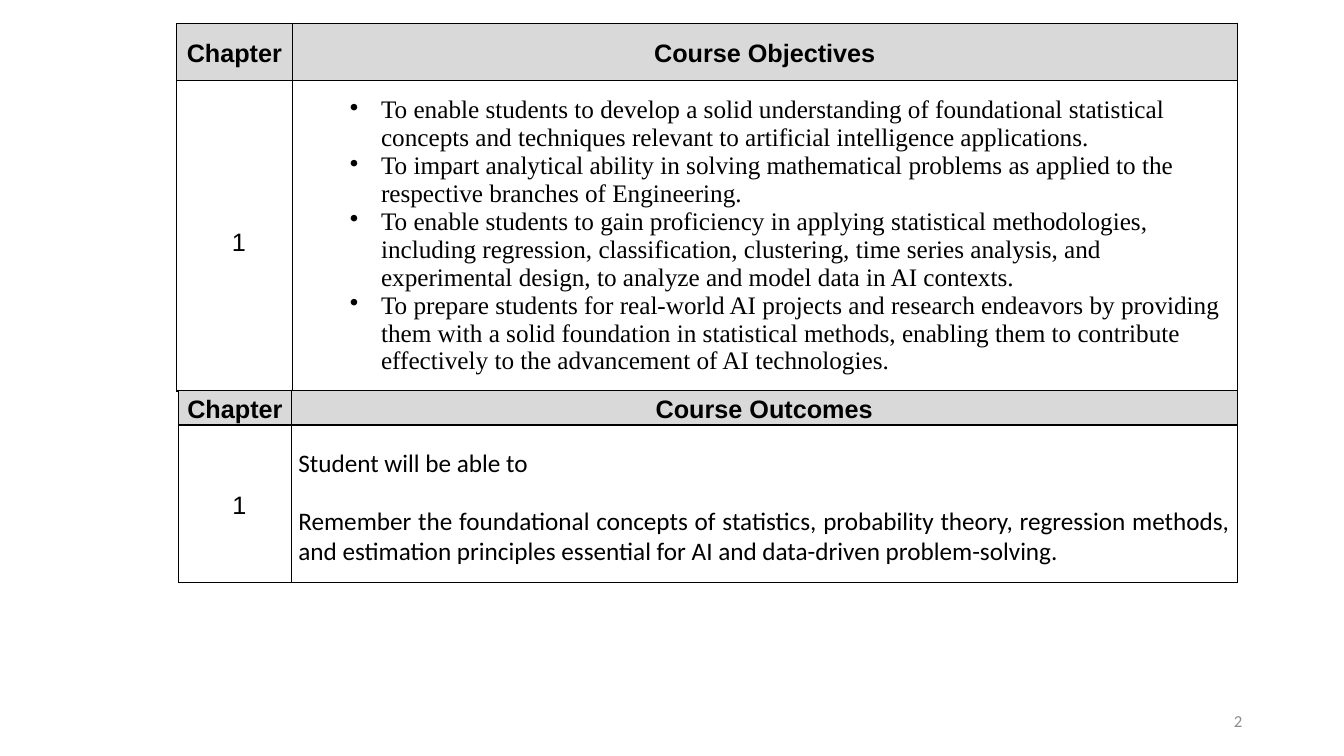
import pptx
import pptx.dml.color
import pptx.enum.text
import pptx.oxml
import pptx.oxml.ns
import pptx.util
from pptx.util import Inches

BLACK = pptx.dml.color.RGBColor(0x00, 0x00, 0x00)
HEADER_GRAY = pptx.dml.color.RGBColor(0xD9, 0xD9, 0xD9)
NUMBER_GRAY = pptx.dml.color.RGBColor(0x8C, 0x8C, 0x8C)
ALIGN = pptx.enum.text.PP_ALIGN
MIDDLE = pptx.enum.text.MSO_ANCHOR.MIDDLE
TOP = pptx.enum.text.MSO_ANCHOR.TOP

OBJECTIVES = [
    "To enable students to develop a solid understanding of foundational statistical concepts and techniques relevant to artificial intelligence applications.",
    "To impart analytical ability in solving mathematical problems as applied to the respective branches of Engineering.",
    "To enable students to gain proficiency in applying statistical methodologies, including regression, classification, clustering, time series analysis, and experimental design, to analyze and model data in AI contexts.",
    "To prepare students for real-world AI projects and research endeavors by providing them with a solid foundation in statistical methods, enabling them to contribute effectively to the advancement of AI technologies.",
]
OUTCOMES = [
    "Student will be able to",
    "Remember the foundational concepts of statistics, probability theory, regression methods, and estimation principles essential for AI and data-driven problem-solving.",
]


def set_font(paragraph, name, size=18, color=BLACK, bold=False):
    font = paragraph.font if not paragraph.runs else paragraph.runs[0].font
    font.name = name
    font.size = pptx.util.Pt(size)
    font.color.rgb = color
    font.bold = bold


def set_indent(paragraph, left, first):
    properties = paragraph._p.get_or_add_pPr()
    properties.set("marL", str(Inches(left)))
    properties.set("indent", str(Inches(first)))


def add_bullet(paragraph):
    bullet = pptx.oxml.parse_xml(
        f'<a:buChar {pptx.oxml.ns.nsdecls("a")} char="•"/>')
    paragraph._p.get_or_add_pPr().append(bullet)


def add_borders(cell):
    properties = cell._tc.get_or_add_tcPr()
    for side in ("lnL", "lnR", "lnT", "lnB"):
        properties.append(pptx.oxml.parse_xml(
            f'<a:{side} {pptx.oxml.ns.nsdecls("a")} w="12700">'
            f'<a:solidFill><a:srgbClr val="{BLACK}"/></a:solidFill></a:{side}>'))


def fill_cell(cell, texts, font, align, bold=False, line_spacing=None, after=None):
    """Write one paragraph per text and return the paragraphs."""
    frame = cell.text_frame
    frame.text = "\n".join(texts)
    for paragraph in frame.paragraphs:
        paragraph.alignment = align
        if line_spacing:
            paragraph.line_spacing = line_spacing
        if after:
            paragraph.space_after = pptx.util.Pt(after)
        set_font(paragraph, font, bold=bold)
    return frame.paragraphs


def add_chapter_table(slide, left, top, columns, rows, title, number_spacing, number_after):
    """Add a bordered table with its header and chapter number; return the body cell."""
    table = slide.shapes.add_table(
        2, 2, Inches(left), Inches(top), Inches(sum(columns)), Inches(sum(rows))).table
    table.first_row = False
    table.horz_banding = False
    for column, width in zip(table.columns, columns):
        column.width = Inches(width)
    for row, height in zip(table.rows, rows):
        row.height = Inches(height)
    for cell in table.iter_cells():
        cell.margin_left = cell.margin_right = Inches(0.07)
        cell.margin_top = cell.margin_bottom = 0
        cell.vertical_anchor = MIDDLE
        add_borders(cell)
        cell.fill.background()
    for index, heading in enumerate(("Chapter", title)):
        cell = table.cell(0, index)
        cell.fill.solid()
        cell.fill.fore_color.rgb = HEADER_GRAY
        fill_cell(cell, [heading], "Arial", ALIGN.CENTER, True, 1.15, 10)
    number = fill_cell(table.cell(1, 0), ["1"], "Arial", ALIGN.CENTER,
                       line_spacing=number_spacing, after=number_after)[0]
    set_indent(number, 0.37, -0.28)
    return table.cell(1, 1)


def add_objectives(slide, left, top):
    body = add_chapter_table(slide, left, top, (1.15, 9.37), (0.57, 3.08),
                             "Course Objectives", 1.5, None)
    for paragraph in fill_cell(body, OBJECTIVES, "Times New Roman", ALIGN.LEFT):
        set_indent(paragraph, 0.81, -0.31)
        add_bullet(paragraph)


def add_outcomes(slide, left, top):
    body = add_chapter_table(slide, left, top, (1.12, 9.38), (0.33, 1.56),
                             "Course Outcomes", 1.15, 10)
    body.vertical_anchor = TOP
    body.margin_top = Inches(0.23)
    paragraphs = fill_cell(body, OUTCOMES, "Calibri", ALIGN.JUSTIFY)
    paragraphs[0].space_after = pptx.util.Pt(19.5)


def add_slide_number(slide, left, top, width, height):
    frame = slide.shapes.add_textbox(
        Inches(left), Inches(top), Inches(width), Inches(height)).text_frame
    frame.word_wrap = True
    frame.vertical_anchor = MIDDLE
    frame.text = "2"
    paragraph = frame.paragraphs[0]
    paragraph.alignment = ALIGN.RIGHT
    set_font(paragraph, "Calibri", 12, NUMBER_GRAY)


def main():
    presentation = pptx.Presentation()
    presentation.slide_width = Inches(13.33)
    presentation.slide_height = Inches(7.5)
    slide = presentation.slides.add_slide(presentation.slide_layouts[6])
    add_slide_number(slide, 9.42, 6.95, 3, 0.4)
    add_objectives(slide, 1.75, 0.23)
    add_outcomes(slide, 1.77, 3.87)
    presentation.save("out.pptx")


if __name__ == "__main__":
    main()
